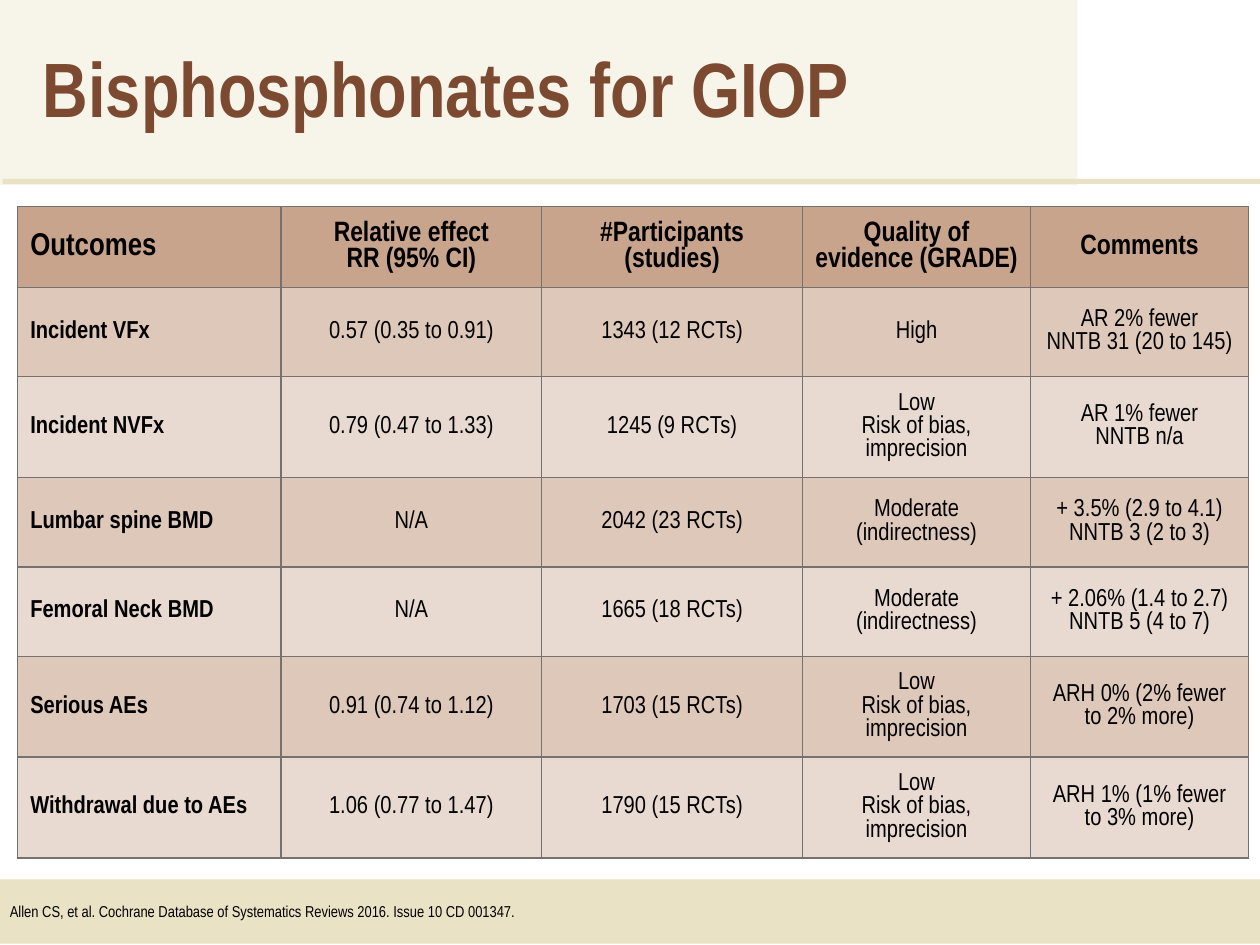
from lxml import etree
from pptx import Presentation
from pptx.dml.color import RGBColor
from pptx.enum.shapes import MSO_SHAPE
from pptx.enum.text import MSO_ANCHOR, PP_ALIGN
from pptx.oxml.ns import qn
from pptx.util import Inches, Pt

RECTANGLE = MSO_SHAPE.RECTANGLE
MIDDLE = MSO_ANCHOR.MIDDLE
LEFT, CENTER = PP_ALIGN.LEFT, PP_ALIGN.CENTER

CREAM = RGBColor(0xF7, 0xF4, 0xE9)
SAND = RGBColor(0xEA, 0xE2, 0xC4)
BROWN = RGBColor(0x7B, 0x4A, 0x31)
CLAY = RGBColor(0xC9, 0xA4, 0x8D)
GRAY = RGBColor(0x76, 0x71, 0x71)
BLACK = RGBColor(0, 0, 0)

FONT = "Arial Narrow"
COLUMNS = [2.09, 2.07, 2.07, 1.81, 1.73]
ROWS = [0.64, 0.71, 0.8, 0.71, 0.71, 0.8, 0.8]
LOW = "Low\nRisk of bias, imprecision"
MODERATE = "Moderate\n(indirectness)"
OUTCOMES = [
    ["Outcomes", "Relative effect\nRR (95% CI)", "#Participants\n(studies)",
     "Quality of evidence (GRADE)", "Comments"],
    ["Incident VFx", "0.57 (0.35 to 0.91)", "1343 (12 RCTs)", "High",
     "AR 2% fewer\nNNTB 31 (20 to 145)"],
    ["Incident NVFx", "0.79 (0.47 to 1.33)", "1245 (9 RCTs)", LOW,
     "AR 1% fewer\nNNTB n/a"],
    ["Lumbar spine BMD", "N/A", "2042 (23 RCTs)", MODERATE,
     "+ 3.5% (2.9 to 4.1)\nNNTB 3 (2 to 3)"],
    ["Femoral Neck BMD", "N/A", "1665 (18 RCTs)", MODERATE,
     "+ 2.06% (1.4 to 2.7)\nNNTB 5 (4 to 7)"],
    ["Serious AEs", "0.91 (0.74 to 1.12)", "1703 (15 RCTs)", LOW,
     "ARH 0% (2% fewer to 2% more)"],
    ["Withdrawal due to AEs", "1.06 (0.77 to 1.47)", "1790 (15 RCTs)", LOW,
     "ARH 1% (1% fewer to 3% more)"],
]


def write_text(frame, text, align, size, color=BLACK, bold=False):
    frame.text = text
    frame.word_wrap = True
    frame.vertical_anchor = MIDDLE
    font_format = {"name": FONT, "size": Pt(size), "bold": bold}
    for paragraph in frame.paragraphs:
        paragraph.alignment = align
        for name, value in font_format.items():
            setattr(paragraph.font, name, value)
        paragraph.font.color.rgb = color


def add_band(slide, box, color):
    shape = slide.shapes.add_shape(RECTANGLE, *map(Inches, box))
    shape.shadow.inherit = False
    shape.fill.solid()
    shape.fill.fore_color.rgb = color
    shape.line.fill.background()
    return shape


def add_header(slide, box):
    left, top, width, height = box
    add_band(slide, (left, top, width * 0.855, height), CREAM)
    add_band(slide, (left + 0.02, top + height - 0.05, width + 0.02, 0.04), SAND)
    title = slide.shapes.title
    title.left, title.top = Inches(left + 0.24), Inches(top + 0.28)
    title.width, title.height = Inches(8.42), Inches(0.84)
    write_text(title.text_frame, "Bisphosphonates for GIOP", LEFT, 44, BROWN, True)
    # Bring the title in front of the bands
    slide.shapes._spTree.append(title._element)


def add_footer(slide, box):
    footer = add_band(slide, box, SAND)
    write_text(footer.text_frame, "Allen CS, et al. Cochrane Database of Systematics "
               "Reviews 2016. Issue 10 CD 001347.", LEFT, 9)


def style_cell(cell, opacity):
    properties = cell._tc.get_or_add_tcPr()
    for side in ("a:lnL", "a:lnR", "a:lnT", "a:lnB"):
        line = etree.SubElement(properties, qn(side), w=str(Pt(1)))
        fill = etree.SubElement(line, qn("a:solidFill"))
        etree.SubElement(fill, qn("a:srgbClr"), val=str(GRAY))
    cell.fill.solid()
    cell.fill.fore_color.rgb = CLAY
    if opacity < 100:
        color = properties.find(qn("a:solidFill")).find(qn("a:srgbClr"))
        etree.SubElement(color, qn("a:alpha"), val=str(opacity * 1000))


def add_outcome_table(slide, left, top):
    box = map(Inches, (left, top, sum(COLUMNS), sum(ROWS)))
    table = slide.shapes.add_table(len(ROWS), len(COLUMNS), *box).table
    for column, width in zip(table.columns, COLUMNS):
        column.width = Inches(width)
    for row, height in zip(table.rows, ROWS):
        row.height = Inches(height)
    for r, texts in enumerate(OUTCOMES):
        opacity = 100 if r == 0 else 60 if r % 2 else 40
        for c, text in enumerate(texts):
            cell = table.cell(r, c)
            size = 14 if r else 16 if c else 18
            write_text(cell.text_frame, text, CENTER if c else LEFT, size,
                       bold=r == 0 or c == 0)
            cell.vertical_anchor = MIDDLE
            style_cell(cell, opacity)


def main():
    presentation = Presentation()
    presentation.slide_width, presentation.slide_height = Inches(10), Inches(7.5)
    slide = presentation.slides.add_slide(presentation.slide_layouts[5])
    add_header(slide, (0, -0.01, 10, 1.48))
    add_footer(slide, (-0.02, 6.98, 10.02, 0.51))
    add_outcome_table(slide, 0.14, 1.64)
    presentation.save("out.pptx")


if __name__ == "__main__":
    main()
